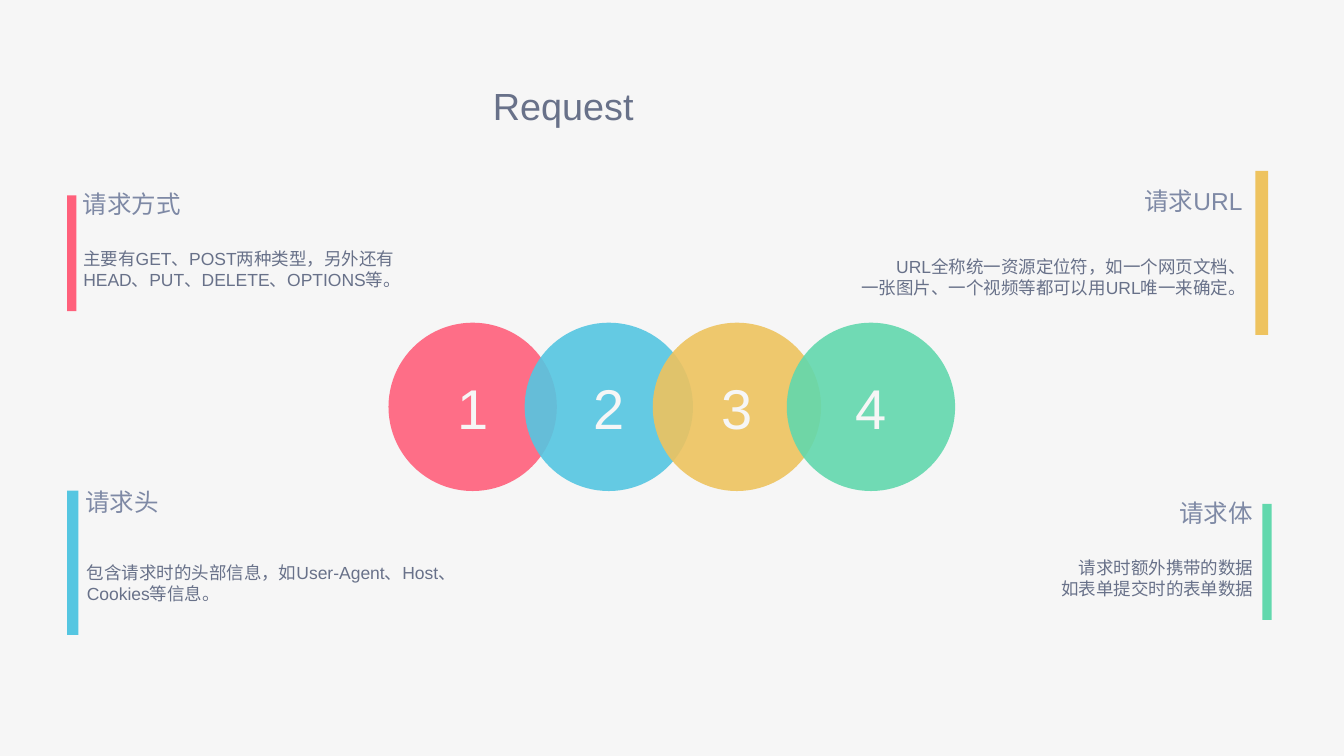
from lxml import etree
from pptx import Presentation
from pptx.dml.color import RGBColor
from pptx.enum.shapes import MSO_SHAPE
from pptx.enum.text import MSO_ANCHOR, PP_ALIGN
from pptx.oxml.ns import qn
from pptx.util import Pt

OVAL, RECT = MSO_SHAPE.OVAL, MSO_SHAPE.RECTANGLE
LEFT, CENTER, RIGHT = PP_ALIGN.LEFT, PP_ALIGN.CENTER, PP_ALIGN.RIGHT
MIDDLE = MSO_ANCHOR.MIDDLE

PAPER, INK, MUTED = "F6F6F6", "687189", "7E89A5"
RED, BLUE, YELLOW, GREEN = "FF607B", "55C6E1", "EEC35F", "62D8AD"

TITLE = {"size": Pt(54), "color": INK}
NUMBER = {"size": Pt(80), "color": PAPER}
HEADING = {"size": Pt(35), "color": MUTED}
BODY = {"size": Pt(25), "color": INK}

CIRCLE_TOP, CIRCLE_SIZE = 461, 240.5
NUMBER_WIDTH, NUMBER_HEIGHT = 53, 104
CIRCLES = [(555, RED), (749.5, BLUE), (932.5, YELLOW), (1124, GREEN)]

# colour, alignment, bar box, heading, heading box, body, body box
PANELS = [
    (RED, LEFT, (96, 279, 13, 165.5),
     "请求方式", (114, 263, 152, 57),
     "主要有GET、POST两种类型，另外还有HEAD、PUT、DELETE、OPTIONS等。",
     (115, 345, 469.5, 80)),
    (BLUE, LEFT, (96, 701, 16, 206),
     "请求头", (118, 684, 170.5, 66),
     "包含请求时的头部信息，如User-Agent、Host、Cookies等信息。",
     (120, 716.5, 584, 234)),
    (YELLOW, RIGHT, (1793.5, 244, 18, 234.5),
     "请求URL", (1417, 246, 362, 80.5),
     "URL全称统一资源定位符，如一个网页文档、\n"
     "一张图片、一个视频等都可以用URL唯一来确定。",
     (1119, 287.5, 664.5, 215)),
    (GREEN, RIGHT, (1803.5, 720, 13, 165.5),
     "请求体", (1538, 704, 255.5, 57),
     "请求时额外携带的数据\n如表单提交时的表单数据",
     (1325, 786, 469.5, 80)),
]


def rgb(value):
    return RGBColor.from_string(value)


def add_block(shapes, kind, box, color, alpha=None):
    """Add a borderless filled shape; alpha is its opacity in percent."""
    sp = shapes.add_shape(kind, *map(Pt, box))
    sp.shadow.inherit = False
    sp.fill.solid()
    sp.fill.fore_color.rgb = rgb(color)
    sp.line.fill.background()
    if alpha is not None:
        clr = sp.fill._xPr.find(qn("a:solidFill"))[0]
        etree.SubElement(clr, qn("a:alpha")).set("val", str(alpha * 1000))


def add_text(shapes, box, text, style, align=LEFT):
    tf = shapes.add_textbox(*map(Pt, box)).text_frame
    frame = {"word_wrap": True, "vertical_anchor": MIDDLE}
    for side in ("left", "top", "right", "bottom"):
        frame["margin_" + side] = Pt(4)
    for name, value in frame.items():
        setattr(tf, name, value)
    tf.text = text
    for p in tf.paragraphs:
        p.alignment = align
        for r in p.runs:
            r.font.name = "Arial"
            r.font.size = style["size"]
            r.font.color.rgb = rgb(style["color"])


def add_circle(s, number, left, color):
    shapes = s.shapes.add_group_shape().shapes
    add_block(shapes, OVAL, (left, CIRCLE_TOP, CIRCLE_SIZE, CIRCLE_SIZE),
              color, alpha=90)
    box = (left + (CIRCLE_SIZE - NUMBER_WIDTH) / 2,
           CIRCLE_TOP + (CIRCLE_SIZE - NUMBER_HEIGHT) / 2,
           NUMBER_WIDTH, NUMBER_HEIGHT)
    add_text(shapes, box, str(number), NUMBER, CENTER)


def add_panel(s, color, align, bar, heading, heading_box, body, body_box):
    shapes = s.shapes.add_group_shape().shapes
    add_text(shapes, heading_box, heading, HEADING, align)
    add_text(shapes, body_box, body, BODY, align)
    add_block(shapes, RECT, bar, color)


def main():
    prs = Presentation()
    prs.slide_width, prs.slide_height = Pt(1920), Pt(1080)
    s = prs.slides.add_slide(prs.slide_layouts[6])
    s.background.fill.solid()
    s.background.fill.fore_color.rgb = rgb(PAPER)

    add_text(s.shapes, (700, 110, 520.5, 80), "Request", TITLE)
    for number, (left, color) in enumerate(CIRCLES, 1):
        add_circle(s, number, left, color)
    for panel in PANELS:
        add_panel(s, *panel)
    prs.save("out.pptx")


if __name__ == "__main__":
    main()
